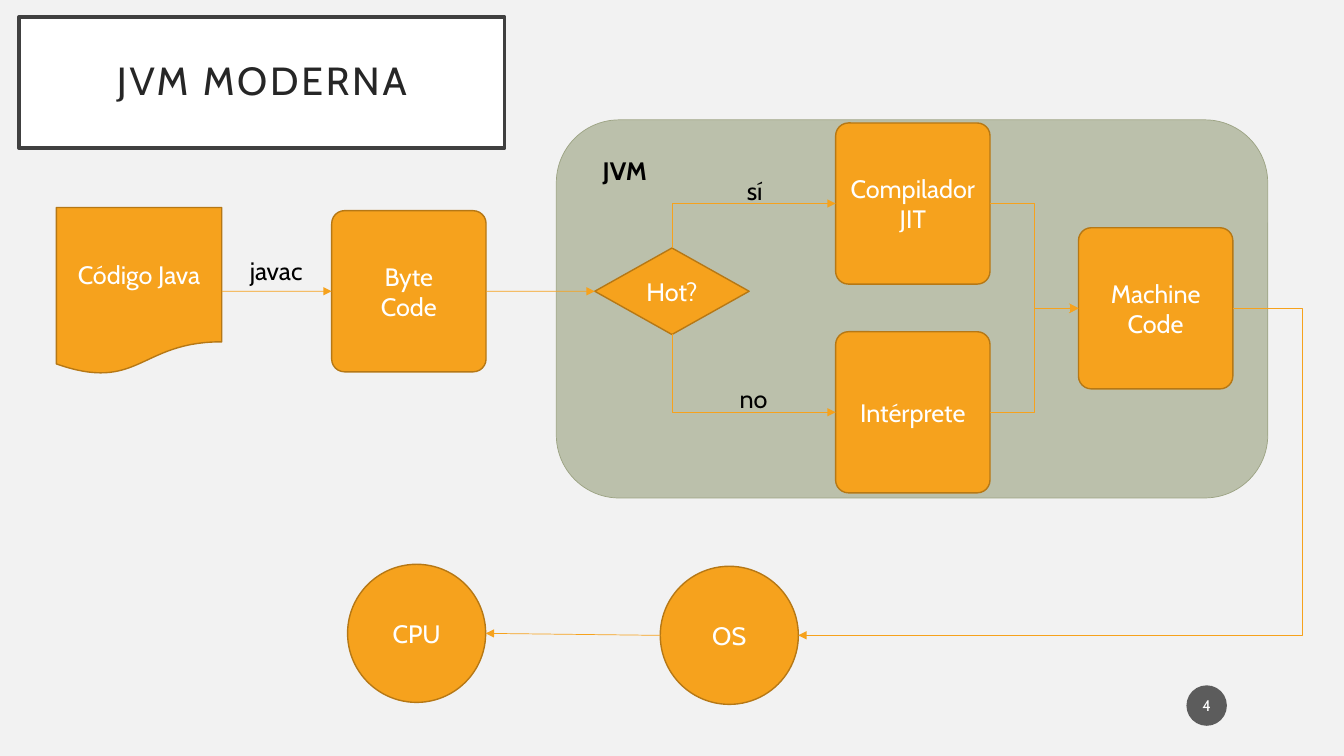
from pptx import Presentation
from pptx.dml.color import RGBColor
from pptx.enum.shapes import MSO_CONNECTOR, MSO_SHAPE
from pptx.enum.text import MSO_ANCHOR, PP_ALIGN
from pptx.oxml.ns import qn
from pptx.util import Cm, Pt
from lxml.etree import SubElement

COLORS = {
    "background": "F2F2F2", "white": "FFFFFF", "black": "000000",
    "title": "262626", "frame": "404040", "badge": "1D1D1D",
    "orange": "F6A21D", "outline": "B67815",
    "jvm_top": "BBC0AB", "jvm_bottom": "B9BEA8", "jvm_line": "9CA383",
}
TOP, LEFT, BOTTOM, RIGHT = range(4)
OVAL_SITES = {TOP: 0, LEFT: 2, BOTTOM: 4, RIGHT: 6}
BOX_SIZE = (3.89, 4.06)
CIRCLE_SIZE = (3.48, 3.48)


class FlowSlide:
    """Draws the parts of a flow diagram on one slide in one style."""

    def __init__(self, slide, font="Cabin", size=18):
        self.slide, self.font, self.size = slide, font, size
        slide.background.fill.solid()
        slide.background.fill.fore_color.rgb = self.color("background")

    def color(self, name):
        return RGBColor.from_string(COLORS[name])

    def paint(self, part, fill, line=None, width=1):
        part.fill.solid()
        part.fill.fore_color.rgb = self.color(fill)
        if line:
            part.line.color.rgb = self.color(line)
            part.line.width = Pt(width)
        else:
            part.line.fill.background()

    def set_text(self, part, text, color, size=None, align=PP_ALIGN.CENTER, bold=False):
        part.text_frame.text = text
        for paragraph in part.text_frame.paragraphs:
            paragraph.alignment = align
            paragraph.font.name = self.font
            paragraph.font.size = Pt(size or self.size)
            paragraph.font.bold = bold
            paragraph.font.color.rgb = self.color(color)

    def title(self, text, left, top, width, height):
        heading = self.slide.shapes.title
        heading.left, heading.top = Cm(left), Cm(top)
        heading.width, heading.height = Cm(width), Cm(height)
        self.paint(heading, "white", "frame", 2.5)
        self.set_text(heading, text, "title", 28)
        heading.text_frame.vertical_anchor = MSO_ANCHOR.MIDDLE
        paragraph = heading.text_frame.paragraphs[0]
        paragraph.line_spacing = 0.9
        paragraph.runs[0].font._element.set("spc", "200")

    def shape(self, kind, left, top, width, height):
        part = self.slide.shapes.add_shape(kind, Cm(left), Cm(top), Cm(width), Cm(height))
        part.shadow.inherit = False
        return part

    def step(self, kind, text, left, top, width, height):
        part = self.shape(kind, left, top, width, height)
        if kind == MSO_SHAPE.ROUNDED_RECTANGLE:
            part.adjustments[0] = 0.083
        self.paint(part, "orange", "outline")
        self.set_text(part, text, "white")
        part.text_frame.vertical_anchor = MSO_ANCHOR.MIDDLE
        return part

    def container(self, left, top, width, height):
        part = self.shape(MSO_SHAPE.ROUNDED_RECTANGLE, left, top, width, height)
        part.fill.gradient()
        part.fill.gradient_angle = 270
        for stop, name in zip(part.fill.gradient_stops, ("jvm_top", "jvm_bottom")):
            stop.color.rgb = self.color(name)
        part.line.color.rgb = self.color("jvm_line")
        part.line.width = Pt(0.5)

    def badge(self, text, left, top, size):
        part = self.shape(MSO_SHAPE.OVAL, left, top, size, size)
        self.paint(part, "badge")
        tint = part._element.spPr.find(qn("a:solidFill"))[0]
        SubElement(tint, qn("a:alpha"), val="70000")
        frame = part.text_frame
        frame.margin_left = frame.margin_right = Cm(0.05)
        frame.vertical_anchor = MSO_ANCHOR.MIDDLE
        self.set_text(part, text, "white", 11)

    def label(self, text, left, top, width, align=PP_ALIGN.LEFT, bold=False):
        part = self.slide.shapes.add_textbox(Cm(left), Cm(top), Cm(width), Cm(1.02))
        part.text_frame.word_wrap = False
        self.set_text(part, text, "black", align=align, bold=bold)

    def arrow(self, source, source_side, target, target_side,
              kind=MSO_CONNECTOR.STRAIGHT, bend=None, corner=False, tip="triangle"):
        ends = [(source, source_side), (target, target_side)]
        if corner:
            ends.reverse()
        link = self.slide.shapes.add_connector(kind, 0, 0, 0, 0)
        link.begin_connect(*ends[0])
        link.end_connect(*ends[1])
        link.line.color.rgb = self.color("orange")
        link.line.width = Pt(0.5)
        sites = link._element.nvCxnSpPr.cNvCxnSpPr
        for site, (part, side) in zip((sites.stCxn, sites.endCxn), ends):
            if part.auto_shape_type == MSO_SHAPE.OVAL:
                site.set("idx", str(OVAL_SITES[side]))
        properties = link._element.spPr
        geometry = properties.find(qn("a:prstGeom"))
        if corner:
            geometry.set("prst", "bentConnector2")
        if bend is not None:
            SubElement(geometry.find(qn("a:avLst")), qn("a:gd"),
                       name="adj1", fmla=f"val {round(bend * 100000)}")
        end = "a:headEnd" if corner else "a:tailEnd"
        SubElement(properties.find(qn("a:ln")), qn(end), type=tip)
        SubElement(properties, qn("a:effectLst"))


def main():
    deck = Presentation()
    deck.slide_width, deck.slide_height = Cm(33.87), Cm(19.05)
    flow = FlowSlide(deck.slides.add_slide(deck.slide_layouts[5]))
    box, elbow = MSO_SHAPE.ROUNDED_RECTANGLE, MSO_CONNECTOR.ELBOW

    flow.title("JVM MODERNA", 0.48, 0.43, 12.24, 3.3)
    flow.badge("4", 29.9, 17.27, 1.02)
    flow.container(14.02, 3.02, 17.93, 9.53)

    java = flow.step(MSO_SHAPE.FLOWCHART_DOCUMENT, "Código Java", 1.42, 5.23, 4.17, 4.22)
    byte_code = flow.step(box, "Byte\nCode", 8.36, 5.31, *BOX_SIZE)
    hot = flow.step(MSO_SHAPE.FLOWCHART_DECISION, "Hot?", 14.99, 6.25, 3.89, 2.18)
    compiler = flow.step(box, "Compilador JIT", 21.06, 3.1, *BOX_SIZE)
    interpreter = flow.step(box, "Intérprete", 21.06, 8.36, *BOX_SIZE)
    machine_code = flow.step(box, "Machine Code", 27.18, 5.74, *BOX_SIZE)
    system = flow.step(MSO_SHAPE.OVAL, "OS", 16.64, 14.27, *CIRCLE_SIZE)
    cpu = flow.step(MSO_SHAPE.OVAL, "CPU", 8.76, 14.22, *CIRCLE_SIZE)

    flow.arrow(java, RIGHT, byte_code, LEFT)
    flow.arrow(byte_code, RIGHT, hot, LEFT)
    flow.arrow(hot, TOP, compiler, LEFT, elbow, corner=True)
    flow.arrow(hot, BOTTOM, interpreter, LEFT, elbow, corner=True)
    flow.arrow(compiler, RIGHT, machine_code, LEFT, elbow, bend=0.5, tip="arrow")
    flow.arrow(interpreter, RIGHT, machine_code, LEFT, elbow, bend=0.5)
    flow.arrow(machine_code, RIGHT, system, RIGHT, elbow, bend=-0.16)
    flow.arrow(system, LEFT, cpu, RIGHT)

    flow.label("javac", 5.92, 6.32, 2.08, PP_ALIGN.CENTER)
    flow.label("sí", 18.57, 4.29, 0.91)
    flow.label("no", 18.39, 9.53, 1.27)
    flow.label("JVM", 14.94, 3.78, 1.88, bold=True)

    deck.save("out.pptx")


if __name__ == "__main__":
    main()
